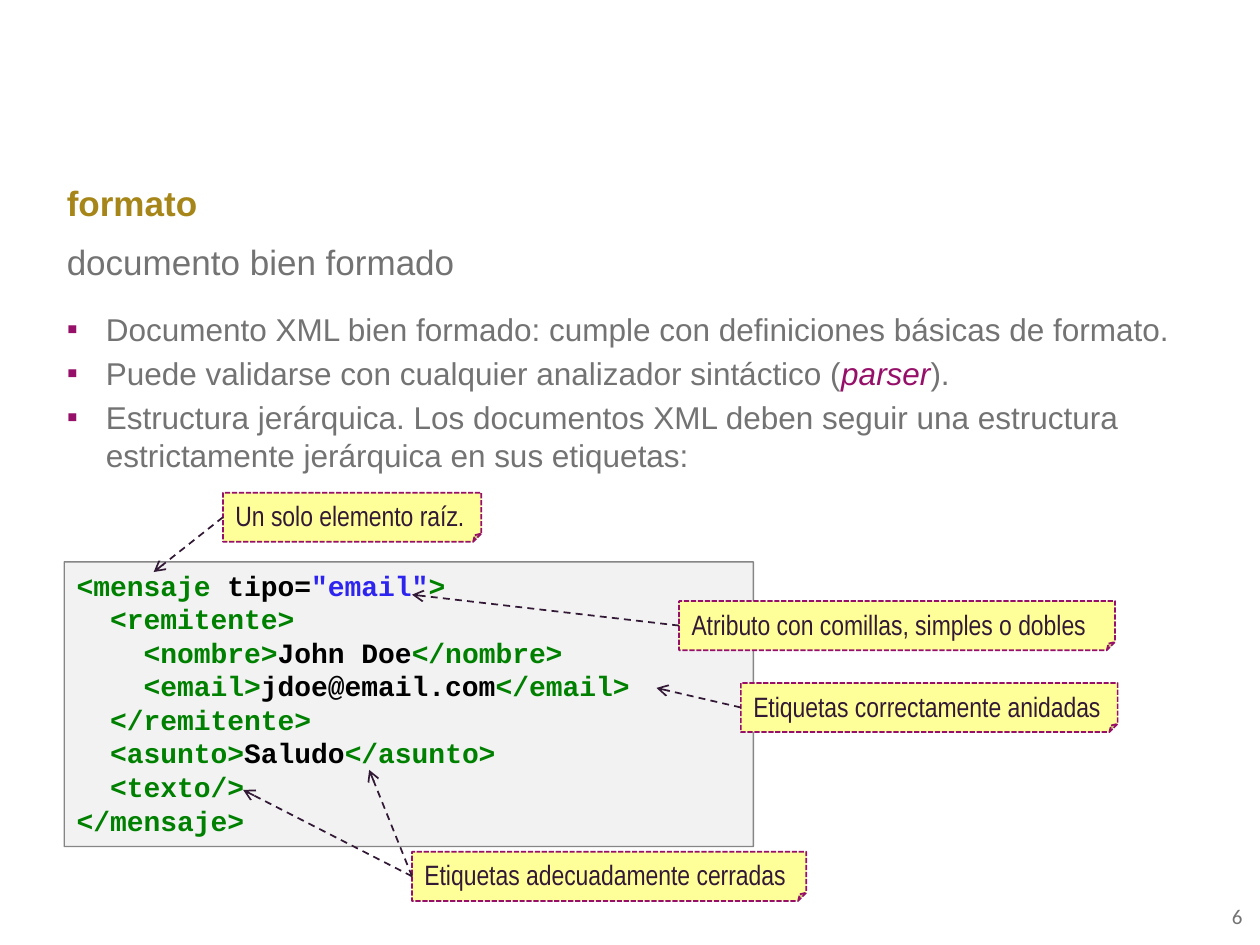
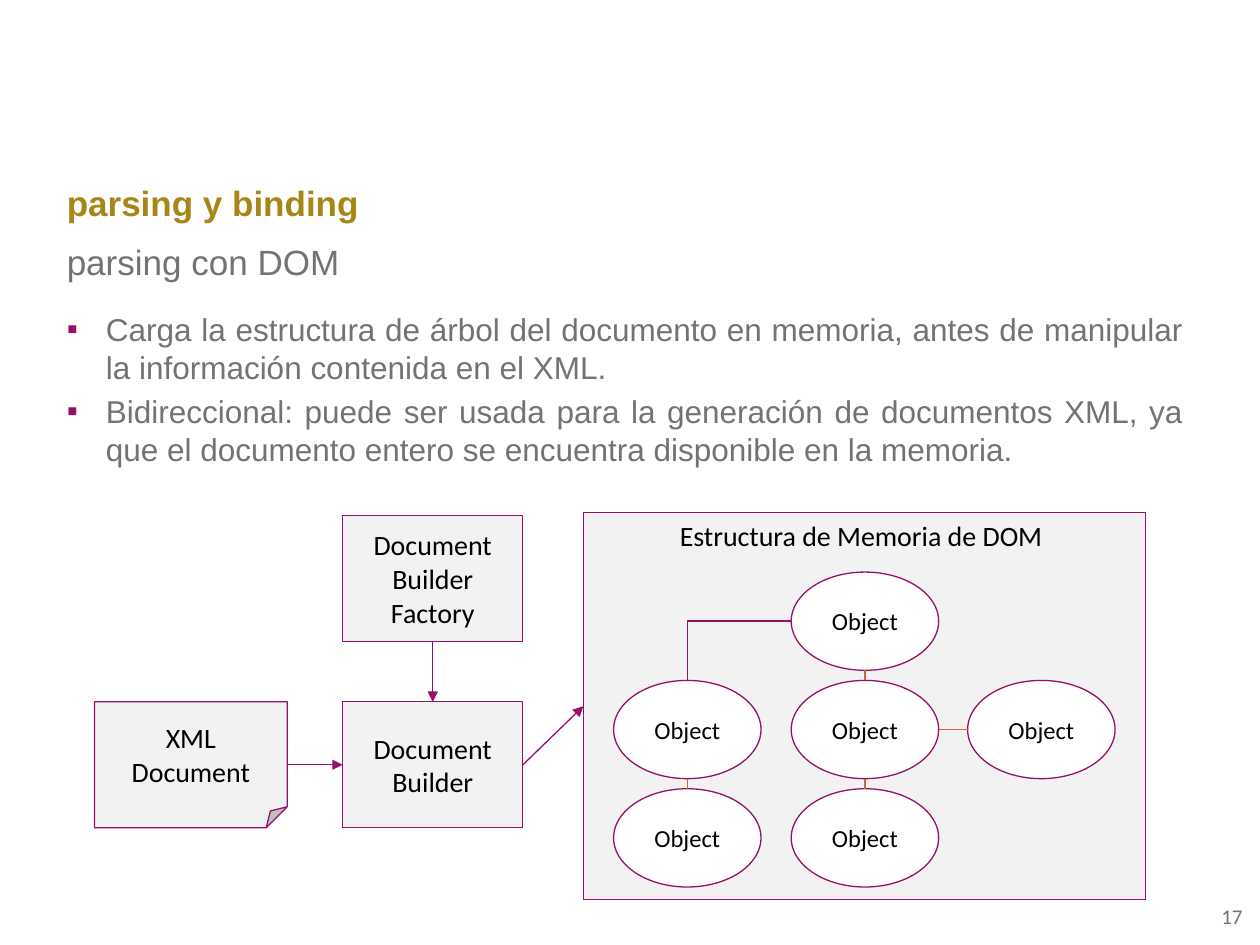
"""Builds two slides on XML: well-formed documents and parsing with DOM."""
from dataclasses import dataclass

from lxml.etree import SubElement
from pptx import Presentation
from pptx.dml.color import RGBColor
from pptx.enum.dml import MSO_LINE
from pptx.enum.shapes import MSO_CONNECTOR as CONNECTOR, MSO_SHAPE as SHAPE
from pptx.enum.text import MSO_ANCHOR as ANCHOR, MSO_AUTO_SIZE, PP_ALIGN as ALIGN
from pptx.oxml.ns import qn
from pptx.util import Inches, Pt


@dataclass(frozen=True)
class Theme:
    gold: str = "A68619"
    grey: str = "737373"
    purple: str = "960F68"
    ink: str = "321935"
    black: str = "000000"
    white: str = "FFFFFF"
    panel: str = "F2F2F2"
    panel_line: str = "808080"
    note: str = "FFFF99"
    tag: str = "008000"
    value: str = "2E24F0"
    branch: str = "D6632F"
    heading_size: int = 20
    list_size: int = 18
    label_size: int = 16
    node_size: int = 14
    number_size: int = 12


THEME = Theme()
TAG, PLAIN, VALUE = ({"color": c} for c in (THEME.tag, THEME.black, THEME.value))
LATIN = {"font": "Calibri", "color": THEME.black, "align": ALIGN.CENTER}

TITLE_BOX = (0.43, 1.39, 9.06, 0.47)
SUBTITLE_BOX = (0.43, 1.86, 9.06, 0.47)
NUMBER_BOX = (9.24, 7.07, 0.72, 0.4)

FORMAT_SLIDE = {
    "title": "formato",
    "subtitle": "documento bien formado",
    "bullets": [
        "Documento XML bien formado: cumple con definiciones básicas de formato.",
        [("Puede validarse con cualquier analizador sintáctico (", {}),
         ("parser", {"color": THEME.purple, "italic": True}),
         (").", {})],
        "Estructura jerárquica. Los documentos XML deben seguir una estructura "
        "estrictamente jerárquica en sus etiquetas:",
    ],
    "list_box": (0.43, 2.41, 9.06, 1.73),
    "align": ALIGN.LEFT,
    "number": "6",
}
CODE_BOX = (0.51, 4.46, 5.47, 2.26)
CODE = [
    [("<mensaje ", TAG), ("tipo=", PLAIN), ('"email"', VALUE), (">", TAG)],
    [("  <remitente>", TAG)],
    [("    <nombre>", TAG), ("John Doe", PLAIN), ("</nombre>", TAG)],
    [("    <email>", TAG), ("jdoe@email.com", PLAIN), ("</email>", TAG)],
    [("  </remitente>", TAG)],
    [("  <asunto>", TAG), ("Saludo", PLAIN), ("</asunto>", TAG)],
    [("  <texto/>", TAG)],
    [("</mensaje>", TAG)],
]
NOTE_HEIGHT = 0.39
NOTES = [
    ("Un solo elemento raíz.", (1.77, 3.91), 2.05, [(1.22, 4.54)]),
    ("Atributo con comillas, simples o dobles", (5.39, 4.77), 3.46, [(3.27, 4.72)]),
    ("Etiquetas correctamente anidadas", (5.88, 5.42), 2.99, [(5.21, 5.46)]),
    ("Etiquetas adecuadamente cerradas", (3.27, 6.76), 3.13,
     [(2.93, 6.11), (1.93, 6.27)]),
]

DOM_SLIDE = {
    "title": "parsing y binding",
    "subtitle": "parsing con DOM",
    "bullets": [
        "Carga la estructura de árbol del documento en memoria, antes de manipular "
        "la información contenida en el XML.",
        "Bidireccional: puede ser usada para la generación de documentos XML, ya "
        "que el documento entero se encuentra disponible en la memoria.",
    ],
    "list_box": (0.43, 2.41, 9.06, 4.57),
    "align": ALIGN.JUSTIFY,
    "number": "17",
}
STEPS = {
    "builder": (SHAPE.RECTANGLE, (2.72, 5.57, 1.43, 1), ["Document", "Builder"]),
    "document": (SHAPE.FOLDED_CORNER, (0.75, 5.57, 1.53, 1), ["XML Document"]),
    "factory": (SHAPE.RECTANGLE, (2.72, 4.09, 1.43, 1),
                ["Document", "Builder", "Factory"]),
    "memory": (SHAPE.RECTANGLE, (4.63, 4.07, 4.46, 3.07),
               ["Estructura de Memoria de DOM "]),
}
FLOWS = [
    ("factory", "bottom", "builder", "top"),
    ("document", "right", "builder", "left"),
    ("builder", "right", "memory", "left"),
]
COLUMNS = (4.87, 6.28, 7.68)
ROWS = (4.54, 5.4, 6.26)
NODE_SIZE = (1.17, 0.78)
NODES = [(1, 0), (1, 1), (1, 2), (2, 1), (0, 1), (0, 2)]
BRANCHES = [
    ((1, 0), "bottom", (1, 1), "top"),
    ((1, 1), "right", (2, 1), "left"),
    ((1, 1), "bottom", (1, 2), "top"),
    ((0, 1), "bottom", (0, 2), "top"),
]


def rgb(color):
    return RGBColor.from_string(color)


def side(box, name):
    """Middle point of one side of a box."""
    left, top, width, height = box
    x, y = {"left": (0, 0.5), "right": (1, 0.5), "top": (0.5, 0), "bottom": (0.5, 1)}[name]
    return left + width * x, top + height * y


def write(shape, paragraphs, *, size, color, font="Arial", bold=False,
          align=ALIGN.LEFT, anchor=ANCHOR.TOP, bullet=None):
    """Fill a shape with paragraphs, each a string or a list of (text, format) runs."""
    frame = shape.text_frame
    frame.word_wrap = True
    frame.auto_size = MSO_AUTO_SIZE.NONE
    frame.vertical_anchor = anchor
    for index, content in enumerate(paragraphs):
        paragraph = frame.add_paragraph() if index else frame.paragraphs[0]
        paragraph.alignment = align
        set_bullet(paragraph, bullet)
        for text, style in [(content, {})] if isinstance(content, str) else content:
            run = paragraph.add_run()
            run.text = text
            run.font.name = font
            run.font.size = Pt(size)
            run.font.bold = bold
            run.font.italic = style.get("italic", False)
            run.font.color.rgb = rgb(style.get("color", color))


def set_bullet(paragraph, bullet):
    properties = paragraph._p.get_or_add_pPr()
    indent = Inches(0.31) if bullet else 0
    properties.set("marL", str(indent))
    properties.set("indent", str(-indent))
    if not bullet:
        SubElement(properties, qn("a:buNone"))
        return
    color = SubElement(properties, qn("a:buClr"))
    SubElement(color, qn("a:srgbClr"), val=THEME.purple)
    SubElement(properties, qn("a:buFont"), typeface="Arial")
    SubElement(properties, qn("a:buChar"), char=bullet)


def style_line(line, color, width, dash=None):
    line.color.rgb = rgb(color)
    line.width = Pt(width)
    if dash:
        line.dash_style = dash


def add_box(slide, kind, box, fill, color=THEME.purple, width=0.75, dash=None):
    shape = slide.shapes.add_shape(kind, *map(Inches, box))
    shape.shadow.inherit = False
    shape.fill.solid()
    shape.fill.fore_color.rgb = rgb(fill)
    style_line(shape.line, color, width, dash)
    return shape


def add_link(slide, start, end, color=THEME.purple, width=0.75, dash=None,
             head=None, kind=CONNECTOR.STRAIGHT):
    connector = slide.shapes.add_connector(kind, *map(Inches, start + end))
    style_line(connector.line, color, width, dash)
    if head:
        SubElement(connector.line._get_or_add_ln(), qn("a:tailEnd"), type=head)
    SubElement(connector._element.spPr, qn("a:effectLst"))
    return connector


def place(shape, box):
    shape.left, shape.top, shape.width, shape.height = map(Inches, box)
    return shape


def add_slide(presentation, content):
    slide = presentation.slides.add_slide(presentation.slide_layouts[3])
    title, subtitle, bullets = slide.placeholders
    write(place(title, TITLE_BOX), [content["title"]],
          size=THEME.heading_size, color=THEME.gold, bold=True)
    write(place(subtitle, SUBTITLE_BOX), [content["subtitle"]],
          size=THEME.heading_size, color=THEME.grey)
    write(place(bullets, content["list_box"]), content["bullets"],
          size=THEME.list_size, color=THEME.grey, align=content["align"], bullet="▪")
    number = slide.shapes.add_textbox(*map(Inches, NUMBER_BOX))
    write(number, [content["number"]], size=THEME.number_size, color=THEME.grey,
          font="Calibri", align=ALIGN.RIGHT, anchor=ANCHOR.MIDDLE)
    return slide


def draw_code(slide):
    panel = add_box(slide, SHAPE.RECTANGLE, CODE_BOX, THEME.panel, THEME.panel_line)
    for color in list(panel._element.spPr.iter(qn("a:srgbClr"))):
        SubElement(color, qn("a:alpha"), val="95000")
    write(panel, CODE, size=THEME.label_size, color=THEME.black,
          font="Courier New", bold=True)
    for text, corner, width, targets in NOTES:
        box = (*corner, width, NOTE_HEIGHT)
        note = add_box(slide, SHAPE.FOLDED_CORNER, box, THEME.note,
                       width=1, dash=MSO_LINE.SQUARE_DOT)
        write(note, [text], size=THEME.label_size, color=THEME.ink, font="Arial Narrow")
        for target in targets:
            add_link(slide, side(box, "left"), target, THEME.ink, 1,
                     MSO_LINE.DASH, "arrow")


def draw_dom(slide):
    for name, (kind, box, lines) in STEPS.items():
        anchor = ANCHOR.TOP if name == "memory" else ANCHOR.MIDDLE
        write(add_box(slide, kind, box, THEME.panel), lines,
              size=THEME.label_size, anchor=anchor, **LATIN)
    for source, leaving, target, entering in FLOWS:
        add_link(slide, side(STEPS[source][1], leaving),
                 side(STEPS[target][1], entering), head="triangle")

    nodes = {(column, row): (COLUMNS[column], ROWS[row], *NODE_SIZE)
             for column, row in NODES}
    for box in nodes.values():
        write(add_box(slide, SHAPE.OVAL, box, THEME.white), ["Object"],
              size=THEME.node_size, anchor=ANCHOR.MIDDLE, **LATIN)
    for parent, leaving, child, entering in BRANCHES:
        add_link(slide, side(nodes[parent], leaving), side(nodes[child], entering),
                 THEME.branch)
    elbow = add_link(slide, side(nodes[1, 0], "left"), side(nodes[0, 1], "top"),
                     kind=CONNECTOR.ELBOW)
    elbow._element.spPr.find(qn("a:prstGeom")).set("prst", "bentConnector2")


def main():
    presentation = Presentation()
    presentation.slide_width, presentation.slide_height = Inches(10), Inches(7.5)
    draw_code(add_slide(presentation, FORMAT_SLIDE))
    draw_dom(add_slide(presentation, DOM_SLIDE))
    presentation.save("out.pptx")


if __name__ == "__main__":
    main()
